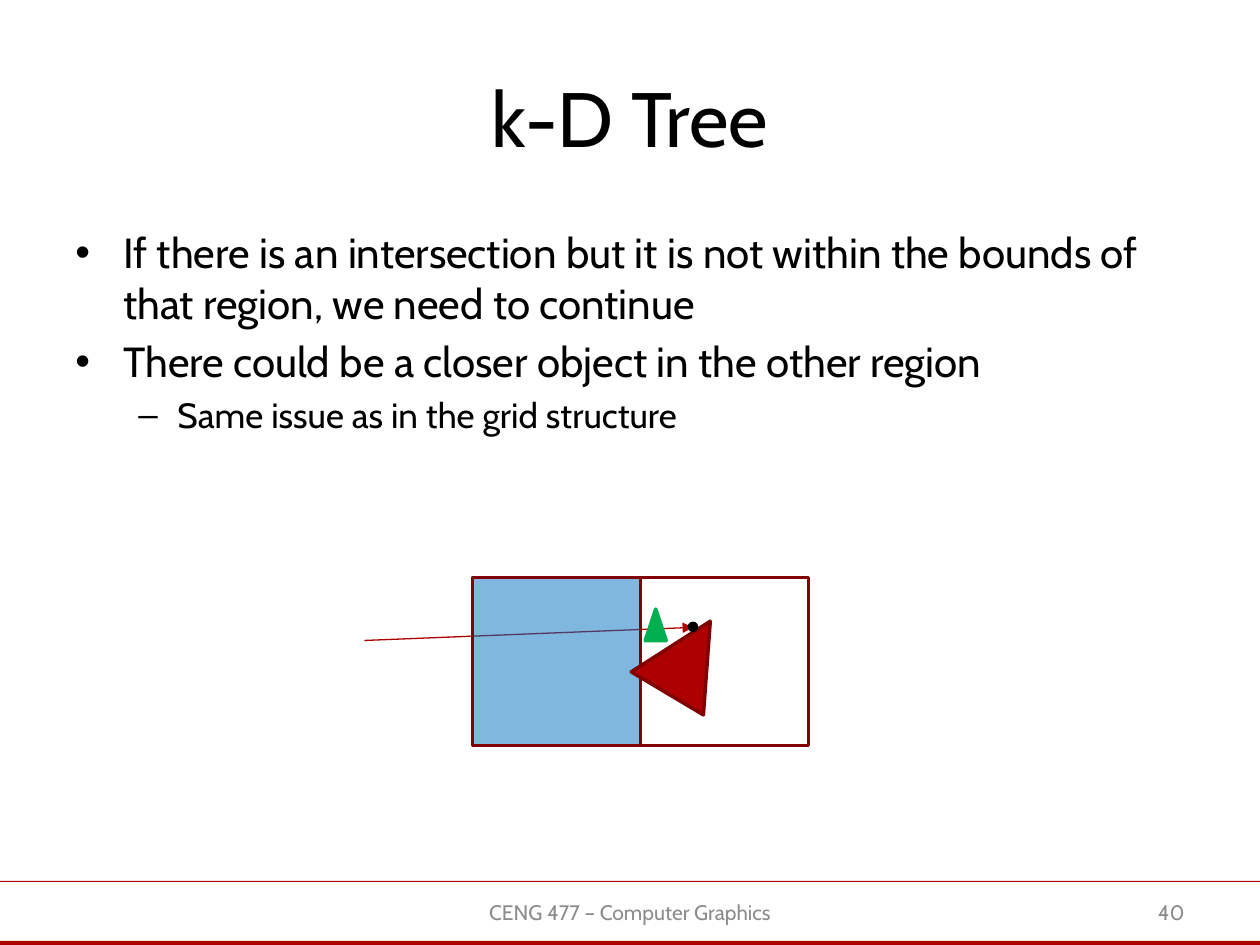
from dataclasses import dataclass

from lxml import etree
from pptx import Presentation
from pptx.dml.color import RGBColor
from pptx.enum.shapes import MSO_CONNECTOR, MSO_SHAPE
from pptx.enum.text import MSO_ANCHOR, PP_ALIGN
from pptx.oxml.ns import qn
from pptx.util import Inches, Pt

RECT, TRIANGLE, OVAL = MSO_SHAPE.RECTANGLE, MSO_SHAPE.ISOSCELES_TRIANGLE, MSO_SHAPE.OVAL
STRAIGHT = MSO_CONNECTOR.STRAIGHT
LEFT, CENTER, RIGHT = PP_ALIGN.LEFT, PP_ALIGN.CENTER, PP_ALIGN.RIGHT
TOP, MIDDLE = MSO_ANCHOR.TOP, MSO_ANCHOR.MIDDLE


@dataclass(frozen=True)
class Theme:
    font: str = "Cabin"
    text: str = "000000"
    muted: str = "8C8C8C"
    accent: str = "AD0101"
    edge: str = "800101"
    ray: str = "AA0000"
    region: str = "0070C0"
    closer: str = "00B050"
    title_size: float = 44
    body_sizes: tuple = (24, 20)
    footer_size: float = 12
    bullets: tuple = ("•", "–")
    indents: tuple = ((0.38, -0.38), (0.81, -0.31))
    outline: float = 2
    thin: float = 0.75


def grid(n):
    """Grid of 120 columns by 90 rows, each 1/12 inch."""
    return Inches(n / 12)


def add_xml(parent, tag, **attrs):
    return etree.SubElement(parent, qn(tag), attrs)


class Deck:
    def __init__(self, theme):
        self.theme = theme
        self.prs = Presentation()
        self.prs.slide_width, self.prs.slide_height = grid(120), grid(90)
        self.slide = self.prs.slides.add_slide(self.prs.slide_layouts[6])

    def text_box(self, box, anchor=MIDDLE):
        sp = self.slide.shapes.add_textbox(*map(grid, box))
        tf = sp.text_frame
        tf.word_wrap = True
        tf.vertical_anchor = anchor
        return tf

    def style(self, p, size, color, align=LEFT):
        p.alignment = align
        for r in p.runs:
            r.font.name = self.theme.font
            r.font.size = Pt(size)
            r.font.color.rgb = RGBColor.from_string(color)

    def label(self, text, box, size, color, align):
        tf = self.text_box(box)
        tf.text = text
        self.style(tf.paragraphs[0], size, color, align)

    def bullet_list(self, items, box):
        t = self.theme
        tf = self.text_box(box, TOP)
        for i, (level, text) in enumerate(items):
            p = tf.add_paragraph() if i else tf.paragraphs[0]
            p.text = text
            p.level = level
            margin, indent = t.indents[level]
            pPr = p._p.get_or_add_pPr()
            pPr.set("marL", str(Inches(margin)))
            pPr.set("indent", str(Inches(indent)))
            add_xml(add_xml(pPr, "a:buClr"), "a:srgbClr", val=t.text)
            add_xml(pPr, "a:buFont", typeface="Arial")
            add_xml(pPr, "a:buChar", char=t.bullets[level])
            size = t.body_sizes[level]
            if i:
                p.space_before = Pt(size * 0.2)
            self.style(p, size, t.text)

    def shape(self, kind, box, fill=None, line=None, alpha=None, rotation=0):
        sp = self.slide.shapes.add_shape(kind, *map(grid, box))
        sp.shadow.inherit = False
        sp.rotation = rotation
        if fill:
            sp.fill.solid()
            sp.fill.fore_color.rgb = RGBColor.from_string(fill)
        else:
            sp.fill.background()
        if alpha:
            color = sp._element.spPr.find(qn("a:solidFill"))[0]
            add_xml(color, "a:alpha", val=str(alpha * 1000))
        if line:
            sp.line.color.rgb = RGBColor.from_string(line)
            sp.line.width = Pt(self.theme.outline)
        else:
            sp.line.fill.background()

    def arrow(self, start, end, color):
        sp = self.slide.shapes.add_connector(STRAIGHT, *map(grid, start + end))
        sp.line.color.rgb = RGBColor.from_string(color)
        sp.line.width = Pt(self.theme.thin)
        add_xml(sp.line._get_or_add_ln(), "a:tailEnd", type="triangle")
        add_xml(sp._element.spPr, "a:effectLst")


def main():
    t = Theme()
    deck = Deck(t)

    # Footer rules and labels
    for top, height in ((83.9, 0.1), (89.6, 0.4)):
        deck.shape(RECT, (0, top, 120, height), fill=t.accent)
    deck.label("CENG 477 – Computer Graphics", (41, 84.5, 38, 4.8),
               t.footer_size, t.muted, CENTER)
    deck.label("40", (86, 84.5, 28, 4.8), t.footer_size, t.muted, RIGHT)

    # Title and body
    deck.label("k-D Tree", (6, 3.6, 108, 15), t.title_size, t.text, CENTER)
    deck.bullet_list([
        (0, "If there is an intersection but it is not within the bounds of "
            "that region, we need to continue"),
        (0, "There could be a closer object in the other region"),
        (1, "Same issue as in the grid structure"),
    ], (6, 21, 108, 59.4))

    # Two regions, with the ray below the tinted current region
    side = 16
    near, far = [(45 + i * side, 55, side, side) for i in range(2)]
    for region in (near, far):
        deck.shape(RECT, region, line=t.edge)
    deck.arrow((34.7, 61), (66, 59.75), t.ray)
    deck.shape(RECT, near, fill=t.region, line=t.edge, alpha=50)

    # Hit object, hit point and closer object
    deck.shape(TRIANGLE, (61.6, 58.6, 8, 8), fill=t.accent, line=t.edge, rotation=30.8)
    deck.shape(OVAL, (65.5, 59.2, 1, 1), fill=t.text)
    deck.shape(TRIANGLE, (61.45, 58, 2, 3), fill=t.closer, line=t.closer)

    deck.prs.save("out.pptx")


if __name__ == "__main__":
    main()
